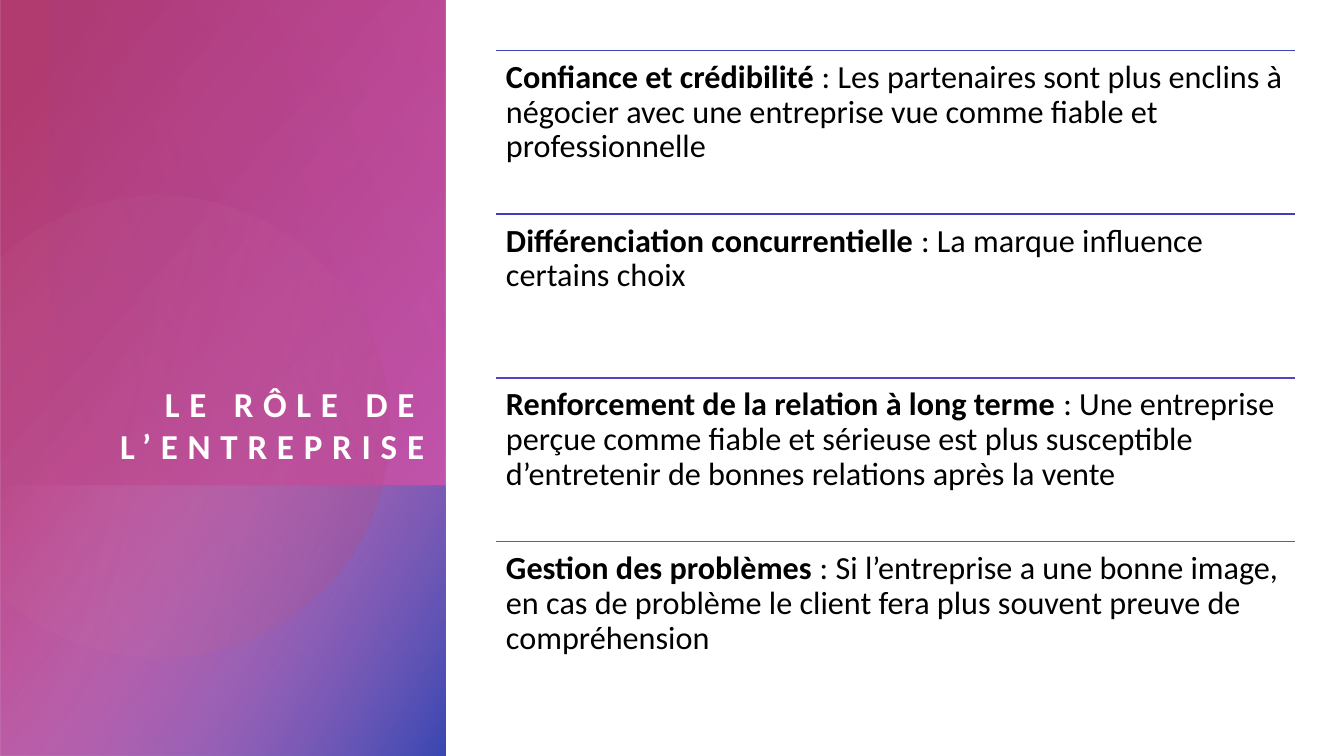
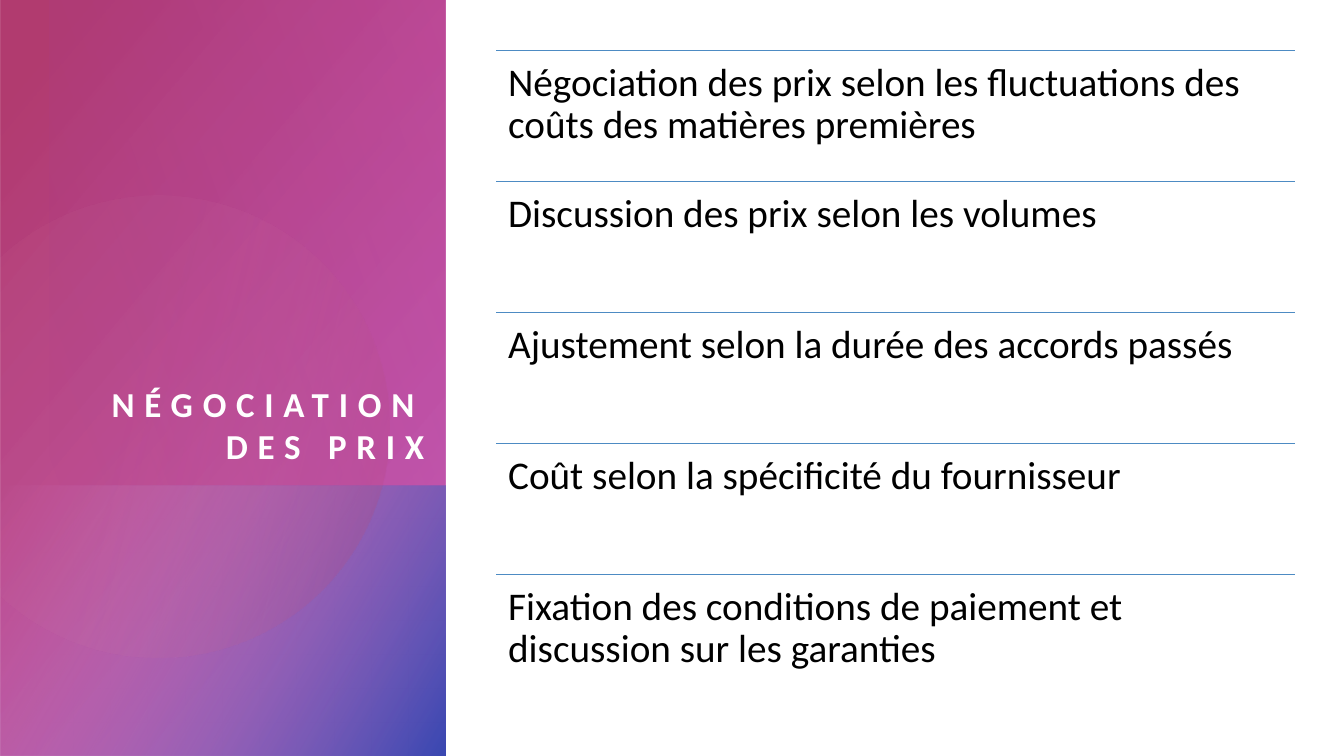
import math
import lxml.etree
import pptx
import pptx.dml.color
import pptx.enum.shapes
import pptx.enum.text
import pptx.oxml
import pptx.oxml.ns
import pptx.util

Inches = pptx.util.Inches
Pt = pptx.util.Pt
qn = pptx.oxml.ns.qn

FONT = "Calibri"
WHITE, BLACK = "FFFFFF", "000000"
TOP, LEFT, WIDE, SPAN = 0.5, 4.92, 7.92, 6.5

PANELS = [
    {"box": (-1.54, 1.54, 7.5, 4.42), "turn": 270, "angle": 50,
     "stops": [(8, "B13B6F", 100), (100, "C34DB2", 89)]},
    {"box": (0.86, 3.95, 2.69, 4.42), "turn": 270, "angle": 60,
     "stops": [(0, "DB94D1", 0), (99, "3B48B1", 100)]},
    {"box": (0.05, 0.45, 4.81, 3.92), "turn": 90, "angle": 110,
     "stops": [(0, "C34DB2", 29), (100, "913BB1", 0)]},
]
DISC = {"center": (1.57, 4.23), "radius": 2.29, "angle": 14,
        "stops": [(36, "D684A8", 6), (100, "B13B6F", 26)]}

SLIDES = [
    {"title": "LE RÔLE DE L’ENTREPRISE", "size": 23, "inset": 0.1,
     "lines": ["3B48B1", "423EBA", "5944C0", "714DC3"],
     "items": [
         ("Confiance et crédibilité ",
          ": Les partenaires sont plus enclins à négocier avec une "
          "entreprise vue comme fiable et professionnelle"),
         ("Différenciation concurrentielle ",
          ": La marque influence certains choix"),
         ("Renforcement de la relation à long terme ",
          ": Une entreprise perçue comme fiable et sérieuse est plus "
          "susceptible d’entretenir de bonnes relations après la vente"),
         ("Gestion des problèmes ",
          ": Si l’entreprise a une bonne image, en cas de problème le "
          "client fera plus souvent preuve de compréhension"),
     ]},
    {"title": "NÉGOCIATION DES PRIX", "size": 28, "inset": 0.12,
     "lines": ["4D8BC3"] * 5,
     "items": [
         ("", "Négociation des prix selon les fluctuations des coûts "
              "des matières premières"),
         ("", "Discussion des prix selon les volumes"),
         ("", "Ajustement selon la durée des accords passés"),
         ("", "Coût selon la spécificité du fournisseur"),
         ("", "Fixation des conditions de paiement et discussion sur "
              "les garanties"),
     ]},
]


def color(code):
    return pptx.dml.color.RGBColor.from_string(code)


def inset(frame, size):
    frame.margin_left = frame.margin_right = Inches(size)
    frame.margin_top = frame.margin_bottom = Inches(size)
    frame.word_wrap = True


def shade(shape, stops, angle):
    shape.shadow.inherit = False
    shape.line.fill.background()
    shape.fill.gradient()
    grad = shape._element.spPr.find(qn("a:gradFill"))
    for child in list(grad):
        grad.remove(child)
    group = lxml.etree.SubElement(grad, qn("a:gsLst"))
    for place, code, alpha in stops:
        stop = lxml.etree.SubElement(group, qn("a:gs"), pos=str(place * 1000))
        tint = lxml.etree.SubElement(stop, qn("a:srgbClr"), val=code)
        lxml.etree.SubElement(tint, qn("a:alpha"), val=str(alpha * 1000))
    lxml.etree.SubElement(grad, qn("a:lin"), ang=str(angle * 60000), scaled="0")


def add_panel(slide, panel):
    shape = slide.shapes.add_shape(
        pptx.enum.shapes.MSO_SHAPE.RECTANGLE, *map(Inches, panel["box"]))
    shape.rotation = panel["turn"]
    shape._element.spPr.find(qn("a:xfrm")).set("flipH", "1")
    shade(shape, panel["stops"], panel["angle"])
    return shape


def add_disc(slide):
    (mid_x, mid_y), radius = DISC["center"], DISC["radius"]
    limit = math.acos(-mid_x / radius)
    steps = 120
    turns = [limit * (2 * n / steps - 1) for n in range(steps + 1)]
    points = [(Inches(mid_x + radius * math.cos(turn)),
               Inches(mid_y + radius * math.sin(turn))) for turn in turns]
    path = slide.shapes.build_freeform(*points[0])
    path.add_line_segments(points[1:], close=True)
    shape = path.convert_to_shape()
    shade(shape, DISC["stops"], DISC["angle"])
    return shape


def set_layout(layout, slide):
    first, second, glow = PANELS
    shapes = [add_panel(slide, first), add_panel(slide, second),
              add_disc(slide), add_panel(slide, glow)]
    for number, shape in enumerate(shapes, 20):
        shape._element.nvSpPr.cNvPr.set("id", str(number))
        layout.shapes._spTree.append(shape._element)
    title = layout.placeholders[0]
    title.left, title.top = Inches(0.5), Inches(0.95)
    title.width, title.height = Inches(3.71), Inches(3.68)
    frame = title.text_frame
    inset(frame, 0)
    frame.auto_size = pptx.enum.text.MSO_AUTO_SIZE.NONE
    frame.vertical_anchor = pptx.enum.text.MSO_ANCHOR.BOTTOM


def style(font, size, code, bold):
    font.name, font.size, font.bold = FONT, Pt(size), bold
    font.color.rgb = color(code)


def add_title(slide, text):
    title = slide.shapes.title
    title.text_frame.text = text
    para = title.text_frame.paragraphs[0]
    para.alignment = pptx.enum.text.PP_ALIGN.RIGHT
    style(para.font, 25, WHITE, True)
    para.runs[0]._r.get_or_add_rPr().set("spc", "700")


def add_rule(slide, top, code):
    rule = slide.shapes.add_connector(
        pptx.enum.shapes.MSO_CONNECTOR.STRAIGHT,
        Inches(LEFT), Inches(top), Inches(LEFT + WIDE), Inches(top))
    rule.line.color.rgb = color(code)
    rule.line.width = Pt(1)
    lxml.etree.SubElement(rule._element.spPr, qn("a:effectLst"))


def add_item(slide, top, high, item, page):
    box = slide.shapes.add_textbox(
        Inches(LEFT), Inches(top), Inches(WIDE), Inches(high))
    inset(box.text_frame, page["inset"])
    para = box.text_frame.paragraphs[0]
    para.line_spacing = 0.9
    style(para.font, page["size"], BLACK, False)
    lead, rest = item
    if lead:
        run = para.add_run()
        run.text = lead
        style(run.font, page["size"], BLACK, True)
    run = para.add_run()
    run.text = rest
    style(run.font, page["size"], BLACK, False)


def fill_slide(slide, page):
    add_title(slide, page["title"])
    high = SPAN / len(page["items"])
    for row, (item, code) in enumerate(zip(page["items"], page["lines"])):
        top = TOP + row * high
        add_rule(slide, top, code)
        add_item(slide, top, high, item, page)


def main():
    deck = pptx.Presentation()
    deck.slide_width, deck.slide_height = Inches(13.33), Inches(7.5)
    layout = deck.slide_layouts[5]
    slides = [deck.slides.add_slide(layout) for page in SLIDES]
    set_layout(layout, slides[0])
    for slide, page in zip(slides, SLIDES):
        fill_slide(slide, page)
    deck.save("out.pptx")


if __name__ == "__main__":
    main()
